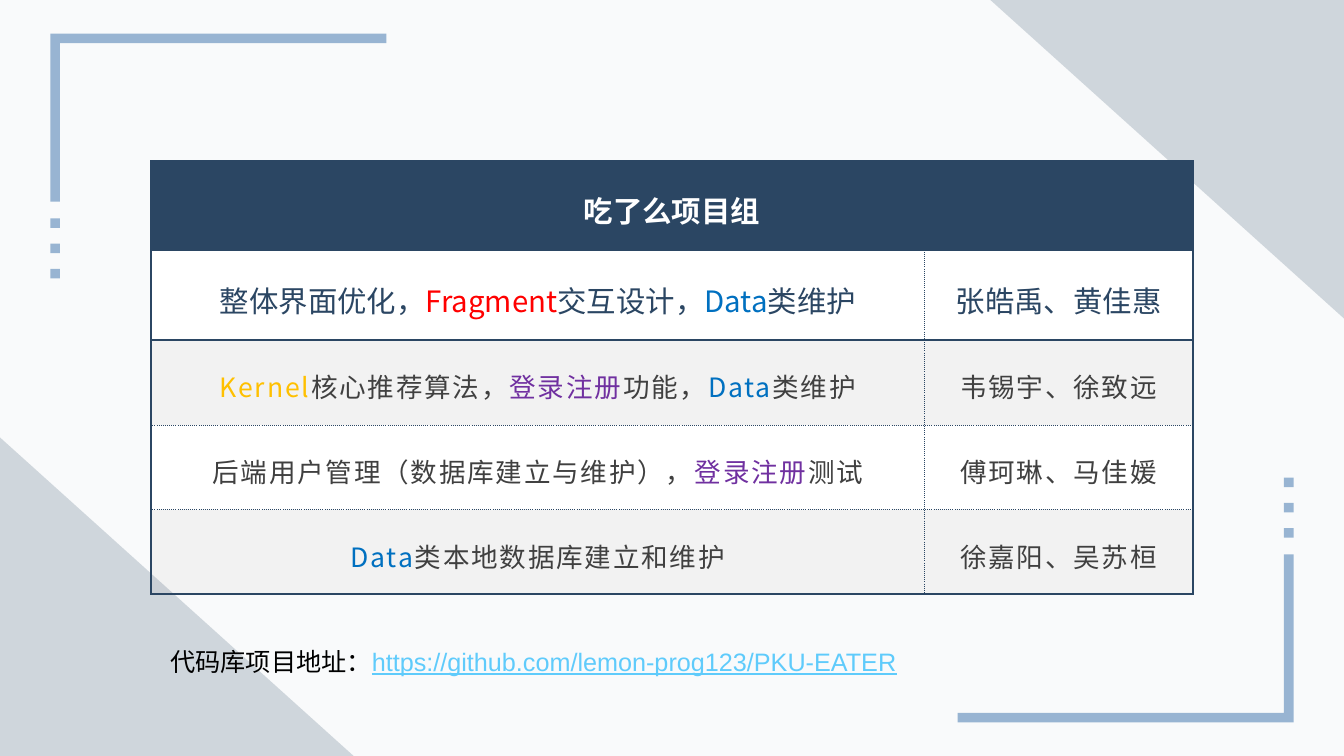
import pptx
import pptx.dml.color
import pptx.enum.shapes
import pptx.enum.text
import pptx.oxml
import pptx.oxml.ns
import pptx.util
from dataclasses import dataclass

Pt = pptx.util.Pt
SHAPES = pptx.enum.shapes.MSO_SHAPE


@dataclass(frozen=True)
class Theme:
    background: str = "F9FAFB"
    navy: str = "2B4663"
    frame: str = "98B4D2"
    white: str = "FFFFFF"
    band: str = "F2F2F2"
    black: str = "000000"
    gray: str = "404040"
    red: str = "FF0000"
    blue: str = "0070C0"
    gold: str = "FFC000"
    purple: str = "7030A0"
    link: str = "5FCBFB"
    cjk: str = "Noto Sans CJK SC"
    latin: str = "Arial"
    lead_size: int = 21
    body_size: int = 19
    note_size: int = 18


THEME = Theme()

# Each task is a list of (text, colour); None takes the row's own colour.
HEADER = "吃了么项目组"
DATA = ("Data", THEME.blue)
LOGIN = ("登录注册", THEME.purple)
TASKS = [
    ([("整体界面优化，", None), ("Fragment", THEME.red), ("交互设计，", None),
      DATA, ("类维护", None)], "张皓禹、黄佳惠"),
    ([("Kernel", THEME.gold), ("核心推荐算法，", None), LOGIN, ("功能，", None),
      DATA, ("类维护", None)], "韦锡宇、徐致远"),
    ([("后端用户管理（数据库建立与维护），", None), LOGIN, ("测试", None)], "傅珂琳、马佳媛"),
    ([DATA, ("类本地数据库建立和维护", None)], "徐嘉阳、吴苏桓"),
]
ADDRESS_LABEL = "代码库项目地址："
ADDRESS = "https://github.com/lemon-prog123/PKU-EATER"

WIDTH, HEIGHT = 960, 540
BRACKET = (36, 24, 240, 120)
BAR = 6.84
DOT_TOP, DOT_STEP, DOT_COUNT = 156, 18, 3
TRIANGLE = (252.6, 227.5)
TABLE_LEFT, TABLE_TOP = 108, 115
COLUMNS = [552.4, 191.5]
ROWS = [64, 64, 60.5, 60.5, 60.5]


def color(value):
    return pptx.dml.color.RGBColor.from_string(value)


def paint(shape, value):
    shape.shadow.inherit = False
    shape.fill.solid()
    shape.fill.fore_color.rgb = color(value)
    shape.line.fill.background()


def add_corner(page, turned):
    """Bracket and dots at top left, or turned half round to bottom right."""
    def place(x, y):
        return (WIDTH - x, HEIGHT - y) if turned else (x, y)

    group = page.shapes.add_group_shape()
    left, top, width, height = BRACKET
    outline = [(left + BAR, top + height), (left, top + height), (left, top),
               (left + width, top), (left + width, top + BAR), (left + BAR, top + BAR)]
    points = [tuple(Pt(value) for value in place(*point)) for point in outline]
    builder = group.shapes.build_freeform(*points[0])
    builder.add_line_segments(points[1:], close=True)
    paint(builder.convert_to_shape(), THEME.frame)
    for index in range(DOT_COUNT):
        y = DOT_TOP + index * DOT_STEP
        x, y = place(left + BAR, y + BAR) if turned else (left, y)
        dot = group.shapes.add_shape(SHAPES.RECTANGLE, Pt(x), Pt(y), Pt(BAR), Pt(BAR))
        paint(dot, THEME.frame)


def add_triangle(page, left, top, rotation):
    triangle = page.shapes.add_shape(
        SHAPES.RIGHT_TRIANGLE, Pt(left), Pt(top), Pt(TRIANGLE[0]), Pt(TRIANGLE[1]))
    triangle.rotation = rotation
    paint(triangle, THEME.navy)
    shade = triangle.fill._xPr.find(".//" + pptx.oxml.ns.qn("a:srgbClr"))
    shade.append(pptx.oxml.parse_xml(
        f'<a:alpha {pptx.oxml.ns.nsdecls("a")} val="20000"/>'))


def write(para, spans, base, size, latin, bold=False, spacing=0):
    """Fill a paragraph with (text, colour) spans sharing one font."""
    para.font.size = Pt(size)
    para.font.bold = bold
    para.font.name = latin
    para.font.color.rgb = color(base)
    properties = para.font._element
    properties.append(pptx.oxml.parse_xml(
        f'<a:ea {pptx.oxml.ns.nsdecls("a")} typeface="{THEME.cjk}"/>'))
    if spacing:
        properties.set("spc", str(round(spacing * 100)))
    for text, tint in spans:
        span = para.add_run()
        span.text = text
        if tint:
            span.font.color.rgb = color(tint)


def set_borders(cell, solid_sides):
    for side in "LRTB":
        points, dash = (1.5, "solid") if side in solid_sides else (0.25, "sysDot")
        cell._tc.get_or_add_tcPr().append(pptx.oxml.parse_xml(
            f'<a:ln{side} {pptx.oxml.ns.nsdecls("a")} w="{Pt(points)}">'
            f'<a:solidFill><a:srgbClr val="{THEME.navy}"/></a:solidFill>'
            f'<a:prstDash val="{dash}"/></a:ln{side}>'))


def solid_sides(row, column):
    """Outer edges and both sides of the first two rows' rules are solid."""
    if row == 0:
        return "LRTB"
    sides = "L" if column == 0 else "R"
    sides += "T" if row <= 2 else ""
    return sides + ("B" if row in (1, len(ROWS) - 1) else "")


def add_team_table(page):
    table = page.shapes.add_table(
        len(ROWS), len(COLUMNS), Pt(TABLE_LEFT), Pt(TABLE_TOP),
        Pt(sum(COLUMNS)), Pt(sum(ROWS))).table
    table.first_row = table.horz_banding = False
    for column, width in zip(table.columns, COLUMNS):
        column.width = Pt(width)
    for row, height in zip(table.rows, ROWS):
        row.height = Pt(height)
    table.cell(0, 0).merge(table.cell(0, 1))

    contents = [[[(HEADER, None)], []]]
    contents += [[task, [(people, None)]] for task, people in TASKS]
    for row, cells in enumerate(contents):
        lead = row <= 1
        base = THEME.white if row == 0 else THEME.navy if lead else THEME.gray
        fill = THEME.navy if row == 0 else THEME.white if row % 2 else THEME.band
        for column, spans in enumerate(cells):
            cell = table.cell(row, column)
            set_borders(cell, solid_sides(row, column))
            cell.fill.solid()
            cell.fill.fore_color.rgb = color(fill)
            cell.vertical_anchor = pptx.enum.text.MSO_ANCHOR.MIDDLE
            cell.margin_left = cell.margin_right = Pt(17)
            cell.margin_top = cell.margin_bottom = Pt(11)
            para = cell.text_frame.paragraphs[0]
            para.alignment = pptx.enum.text.PP_ALIGN.CENTER
            para.line_spacing = 1.2
            write(para, spans, base, THEME.lead_size if lead else THEME.body_size,
                  THEME.cjk, bold=row == 0, spacing=0 if lead else 1.3)


def add_address(page):
    box = page.shapes.add_textbox(Pt(114.5), Pt(458), Pt(547), Pt(29))
    box.text_frame.word_wrap = True
    box.text_frame.auto_size = pptx.enum.text.MSO_AUTO_SIZE.SHAPE_TO_FIT_TEXT
    para = box.text_frame.paragraphs[0]
    write(para, [(ADDRESS_LABEL, None), (ADDRESS, THEME.link)],
          THEME.black, THEME.note_size, THEME.latin)
    para.runs[1].font.underline = True


def main():
    deck = pptx.Presentation()
    deck.slide_width, deck.slide_height = Pt(WIDTH), Pt(HEIGHT)
    page = deck.slides.add_slide(deck.slide_layouts[6])
    page.background.fill.solid()
    page.background.fill.fore_color.rgb = color(THEME.background)
    add_corner(page, turned=False)
    add_corner(page, turned=True)
    add_team_table(page)
    add_triangle(page, WIDTH - TRIANGLE[0], 0, 180)
    add_triangle(page, 0, HEIGHT - TRIANGLE[1], 0)
    add_address(page)
    deck.save("out.pptx")


if __name__ == "__main__":
    main()
